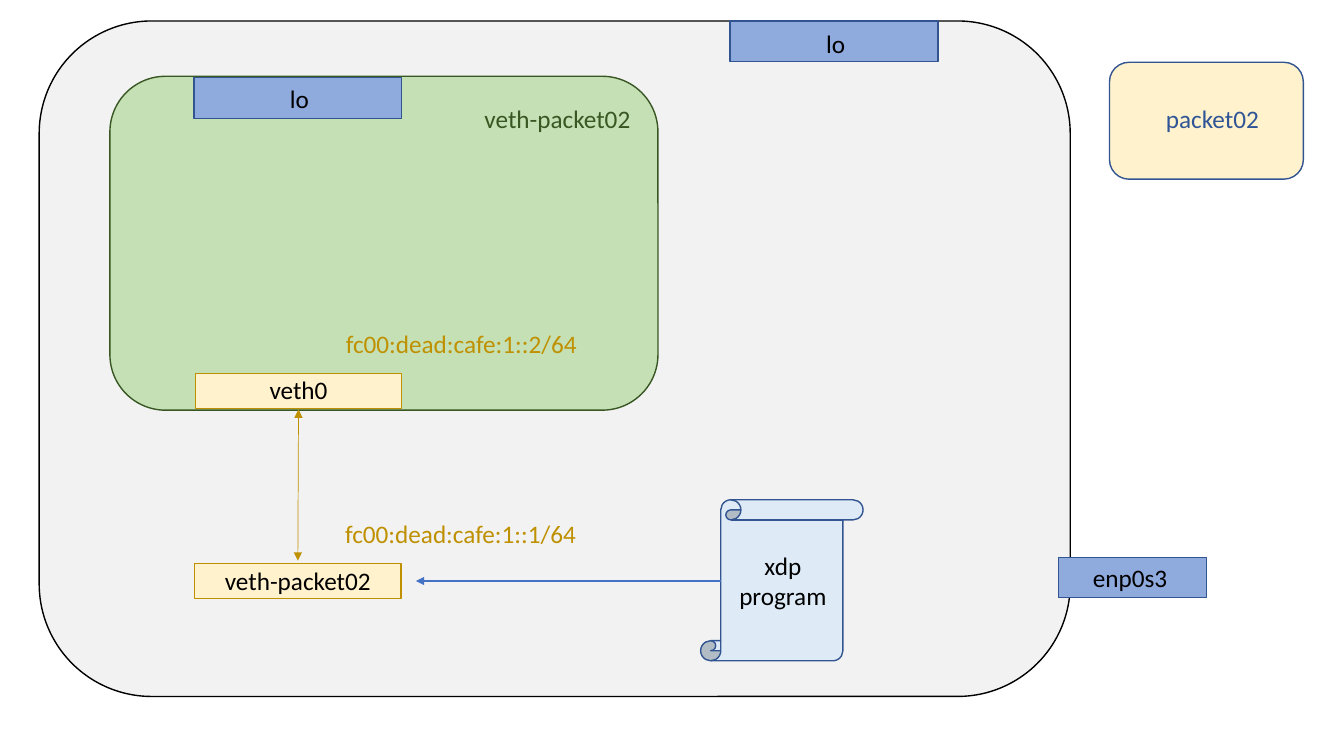
import pptx
import pptx.dml.color
import pptx.enum.shapes
import pptx.enum.text
import pptx.oxml.xmlchemy
import pptx.util

SHAPE = pptx.enum.shapes.MSO_SHAPE
ALIGN = pptx.enum.text.PP_ALIGN
BLACK, BLUE, NAVY, GOLD, GREEN = "000000", "8FAADC", "325491", "BF9000", "385723"
CREAM = "FFF2CC"
LABEL_HEIGHT = 29


def color(value):
    """Turn a hex string into a colour."""
    return pptx.dml.color.RGBColor.from_string(value)


def points(*values):
    """Turn numbers into lengths in points."""
    return [pptx.util.Pt(value) for value in values]


def add_panel(page, kind, box, fill, line):
    """Draw a filled and outlined preset shape in the box."""
    panel = page.shapes.add_shape(kind, *points(*box))
    panel.shadow.inherit = False
    panel.fill.solid()
    panel.fill.fore_color.rgb = color(fill)
    panel.line.color.rgb = color(line)
    panel.line.width = pptx.util.Pt(1)


def add_label(page, box, text, ink=BLACK, align=ALIGN.LEFT):
    """Write text in the box, one paragraph for each line."""
    label = page.shapes.add_textbox(*points(*box))
    frame = label.text_frame
    frame.word_wrap = True
    frame.auto_size = pptx.enum.text.MSO_AUTO_SIZE.SHAPE_TO_FIT_TEXT
    frame.text = text
    for para in frame.paragraphs:
        para.alignment = align
        for span in para.runs:
            span.font.name = "Calibri"
            span.font.size = pptx.util.Pt(18)
            span.font.color.rgb = color(ink)
    return label


def add_arrow(page, start, end, ink, width, heads):
    """Draw a straight line with triangles at the named ends."""
    arrow = page.shapes.add_connector(
        pptx.enum.shapes.MSO_CONNECTOR.STRAIGHT, *points(*start, *end))
    arrow.line.color.rgb = color(ink)
    arrow.line.width = pptx.util.Pt(width)
    properties = arrow._element.spPr
    outline = properties.find(pptx.oxml.xmlchemy.qn("a:ln"))
    for head in heads:
        element = pptx.oxml.xmlchemy.OxmlElement(f"a:{head}")
        element.set("type", "triangle")
        outline.append(element)
    properties.append(pptx.oxml.xmlchemy.OxmlElement("a:effectLst"))
    return arrow


def add_interface(page, box, text, indent, drop):
    """Draw a blue network interface with its name set in by the indent."""
    left, top = box[:2]
    add_panel(page, SHAPE.RECTANGLE, box, BLUE, NAVY)
    add_label(page, (left + indent, top + drop, 71, LABEL_HEIGHT), text)


def add_virtual_port(page, box, text, address, overhang, lift):
    """Draw one end of the virtual pair with its address and return its name label."""
    left, top, width, height = box
    add_panel(page, SHAPE.RECTANGLE, box, CREAM, GOLD)
    add_label(page, (left + 100.5, top - 36, 217.5, LABEL_HEIGHT), address, GOLD)
    return add_label(
        page, (left - overhang, top - lift, width + 2 * overhang, LABEL_HEIGHT),
        text, align=ALIGN.CENTER)


def add_namespace(page, box):
    """Draw the network namespace and return the label of its virtual port."""
    left, top, width, height = box
    add_panel(page, SHAPE.ROUNDED_RECTANGLE, box, "C5E0B4", GREEN)
    add_label(page, (left + 260.5, top + 15.5, 138, LABEL_HEIGHT), "veth-packet02", GREEN)
    add_interface(page, (left + 60, top + 1, 148.5, 29), "lo", 61.5, 0.5)
    return add_virtual_port(
        page, (left + 61, top + 212.5, 147.5, 25), "veth0",
        "fc00:dead:cafe:1::2/64", 0, 3.5)


def add_program(page, box):
    """Draw the scroll that stands for the program."""
    left, top, width, height = box
    add_panel(page, SHAPE.VERTICAL_SCROLL, box, "DEEBF7", NAVY)
    add_label(page, (left + 15.5, top + 32.5, 86.5, 51), "xdp\nprogram", align=ALIGN.CENTER)


def add_host(page, box):
    """Draw the host with its namespace, interfaces, program and links."""
    left, top, width, height = box
    add_panel(page, SHAPE.ROUNDED_RECTANGLE, box, "F2F2F2", BLACK)
    inner = add_namespace(page, (left + 50.5, top + 39.5, 391.5, 238.5))
    outer = add_virtual_port(
        page, (left + 111, top + 387.5, 147.5, 25), "veth-packet02",
        "fc00:dead:cafe:1::1/64", 10.5, 2)
    add_interface(page, (left + 493.5, top, 148.5, 29), "lo", 61.5, 1.5)
    add_interface(page, (left + 728, top + 383, 106, 29), "enp0s3", 17.5, 0)
    add_program(page, (left + 472.5, top + 342, 116, 115))

    pair = add_arrow(page, (left, top), (left, top), GOLD, 0.5, ("headEnd", "tailEnd"))
    pair.begin_connect(inner, 2)
    pair.end_connect(outer, 0)
    attach = add_arrow(
        page, (left + 487, top + 400), (left, top + 400), "4472C4", 1.5, ("tailEnd",))
    attach.end_connect(outer, 3)


def add_packet(page, box):
    """Draw the named box beside the host."""
    left, top, width, height = box
    add_panel(page, SHAPE.ROUNDED_RECTANGLE, box, CREAM, NAVY)
    add_label(page, (left + 16, top + 26, 115, LABEL_HEIGHT), "packet02", "2F5597", ALIGN.CENTER)


def main():
    """Build the network diagram and save it."""
    deck = pptx.Presentation()
    deck.slide_width, deck.slide_height = points(960, 540)
    page = deck.slides.add_slide(deck.slide_layouts[6])
    add_host(page, (28, 15, 736.5, 482.5))
    add_packet(page, (792.5, 44.5, 138.5, 83.5))
    deck.save("out.pptx")


if __name__ == "__main__":
    main()
